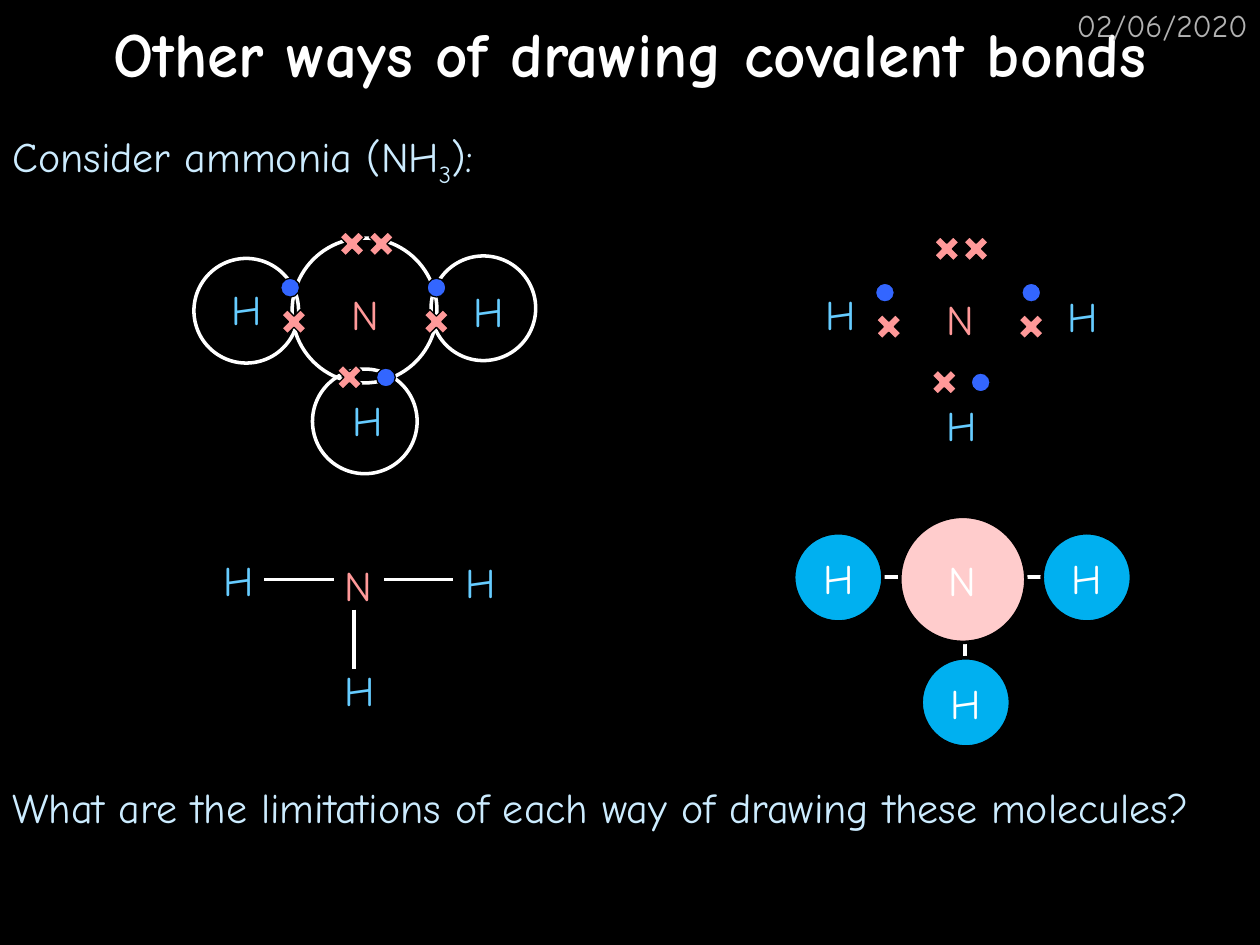
from dataclasses import dataclass

from lxml.etree import SubElement
from pptx import Presentation
from pptx.dml.color import RGBColor
from pptx.enum.shapes import MSO_CONNECTOR, MSO_SHAPE
from pptx.enum.text import MSO_ANCHOR, PP_ALIGN
from pptx.oxml.ns import qn
from pptx.util import Cm, Pt


@dataclass(frozen=True)
class Theme:
    font: str = "Comic Neue"
    black: str = "000000"
    white: str = "FFFFFF"
    date: str = "B2B2B2"
    body: str = "CCECFF"
    hydrogen: str = "66CCFF"
    nitrogen: str = "FF9999"
    dot: str = "3366FF"
    hydrogen_ball: str = "00B0F0"
    nitrogen_ball: str = "FFCCCC"
    title_size: float = 36
    body_size: float = 24
    date_size: float = 18


THEME = Theme()

ATOMS = [("H", 4.14, 5.59), ("H", 9.02, 5.64), ("N", 6.63, 5.69), ("H", 6.58, 7.82)]
RINGS = [(5.89, 4.8, 2.92), (3.91, 5.21, 2.11), (8.69, 5.16, 2.11), (6.3, 7.44, 2.11)]
DOTS = [(5.66, 5.61), (8.61, 5.61), (7.59, 7.42)]
CROSSES = [(6.83, 4.65), (7.42, 4.65), (6.78, 7.34), (5.66, 6.22), (8.53, 6.22)]
DASHES = [(5.33, 11.68, 6.73, 11.68), (7.75, 11.68, 9.14, 11.68), (7.14, 12.29, 7.14, 13.49)]
STICKS = [(19.46, 13.56, 19.46, 12.52), (17.81, 11.63, 21.39, 11.63)]
HYDROGEN_BALLS = [(16, 10.74), (21.01, 10.74), (18.57, 13.26)]


def color(value):
    return RGBColor.from_string(value)


def add_span(para, text, size, ink, bold=False, baseline=None):
    span = para.add_run()
    span.text = text
    span.font.name = THEME.font
    span.font.size = Pt(size)
    span.font.bold = bold
    span.font.color.rgb = color(ink)
    if baseline is not None:
        span.font._element.set("baseline", str(baseline))


def add_text(shapes, left, top, width, height, text, ink, size=THEME.body_size, align=PP_ALIGN.LEFT):
    box = shapes.add_textbox(Cm(left), Cm(top), Cm(width), Cm(height))
    box.text_frame.word_wrap = True
    para = box.text_frame.paragraphs[0]
    para.alignment = align
    add_span(para, text, size, ink)
    return para


def add_figure(shapes, kind, left, top, size, fill, line, weight):
    figure = shapes.add_shape(kind, Cm(left), Cm(top), Cm(size), Cm(size))
    figure.shadow.inherit = False
    if fill:
        figure.fill.solid()
        figure.fill.fore_color.rgb = color(fill)
    else:
        figure.fill.background()
    figure.line.color.rgb = color(line)
    figure.line.width = Pt(weight)
    return figure


def add_bond(shapes, start_x, start_y, end_x, end_y, weight):
    bond = shapes.add_connector(MSO_CONNECTOR.STRAIGHT, Cm(start_x), Cm(start_y), Cm(end_x), Cm(end_y))
    bond.line.color.rgb = color(THEME.white)
    bond.line.width = Pt(weight)
    SubElement(bond._element.spPr, qn("a:effectLst"))


def add_atoms(shapes, shift_x=0, shift_y=0):
    for symbol, left, top in ATOMS:
        width, ink = (1.65, THEME.hydrogen) if symbol == "H" else (1.47, THEME.nitrogen)
        add_text(shapes, left + shift_x, top + shift_y, width, 1.27, symbol, ink, align=PP_ALIGN.CENTER)


def add_electrons(shapes, shift_x=0, shift_y=0):
    for left, top in DOTS:
        add_figure(shapes, MSO_SHAPE.OVAL, left + shift_x, top + shift_y, 0.38, THEME.dot, THEME.black, 0.75)
    for left, top in CROSSES:
        cross = add_figure(shapes, MSO_SHAPE.CROSS, left + shift_x, top + shift_y, 0.53,
                           THEME.nitrogen, THEME.black, 0.75)
        cross.adjustments[0] = 0.35
        cross.rotation = 135


def add_ball(shapes, left, top, size, symbol, fill):
    ball = add_figure(shapes, MSO_SHAPE.OVAL, left, top, size, fill, THEME.black, 2)
    frame = ball.text_frame
    frame.margin_left = frame.margin_right = frame.margin_top = frame.margin_bottom = 0
    frame.vertical_anchor = MSO_ANCHOR.MIDDLE
    para = frame.paragraphs[0]
    para.alignment = PP_ALIGN.CENTER
    add_span(para, symbol, THEME.body_size, THEME.white)


def add_title(page, text):
    title = page.shapes.title
    title.left, title.top, title.width, title.height = Cm(0), Cm(0), Cm(25.4), Cm(2.11)
    title.text_frame.vertical_anchor = MSO_ANCHOR.MIDDLE
    para = title.text_frame.paragraphs[0]
    para.alignment = PP_ALIGN.CENTER
    add_span(para, text, THEME.title_size, THEME.white, bold=True)


def draw_dot_and_cross(page):
    shapes = page.shapes.add_group_shape().shapes
    for left, top, size in RINGS:
        add_figure(shapes, MSO_SHAPE.OVAL, left, top, size, None, THEME.white, 2)
    add_atoms(shapes)
    add_electrons(shapes)


def draw_electrons_only(page):
    shapes = page.shapes.add_group_shape().shapes
    add_atoms(shapes, 11.99, 0.1)
    add_electrons(shapes, 11.99, 0.1)


def draw_displayed_formula(page):
    shapes = page.shapes.add_group_shape().shapes
    add_atoms(shapes, -0.15, 5.46)
    for dash in DASHES:
        add_bond(shapes, *dash, 2)


def draw_ball_and_stick(page):
    shapes = page.shapes.add_group_shape().shapes
    for stick in STICKS:
        add_bond(shapes, *stick, 2.25)
    for left, top in HYDROGEN_BALLS:
        add_ball(shapes, left, top, 1.8, "H", THEME.hydrogen_ball)
    add_ball(shapes, 18.14, 10.41, 2.54, "N", THEME.nitrogen_ball)


def main():
    deck = Presentation()
    deck.slide_width, deck.slide_height = Cm(25.4), Cm(19.05)
    page = deck.slides.add_slide(deck.slide_layouts[5])
    page.background.fill.solid()
    page.background.fill.fore_color.rgb = color(THEME.black)

    add_title(page, "Other ways of drawing covalent bonds")
    add_text(page.shapes, 20.12, 0, 5.28, 1.27, "02/06/2020", THEME.date, THEME.date_size, PP_ALIGN.RIGHT)
    para = add_text(page.shapes, 0, 2.51, 14.1, 1.27, "Consider ammonia (NH", THEME.body)
    add_span(para, "3", THEME.body_size, THEME.body, baseline=-25000)
    add_span(para, "):", THEME.body_size, THEME.body)

    draw_dot_and_cross(page)
    draw_electrons_only(page)
    draw_displayed_formula(page)
    add_text(page.shapes, 0, 15.62, 25.4, 2.31,
             "What are the limitations of each way of drawing these molecules?", THEME.body)
    draw_ball_and_stick(page)
    deck.save("out.pptx")


if __name__ == "__main__":
    main()
